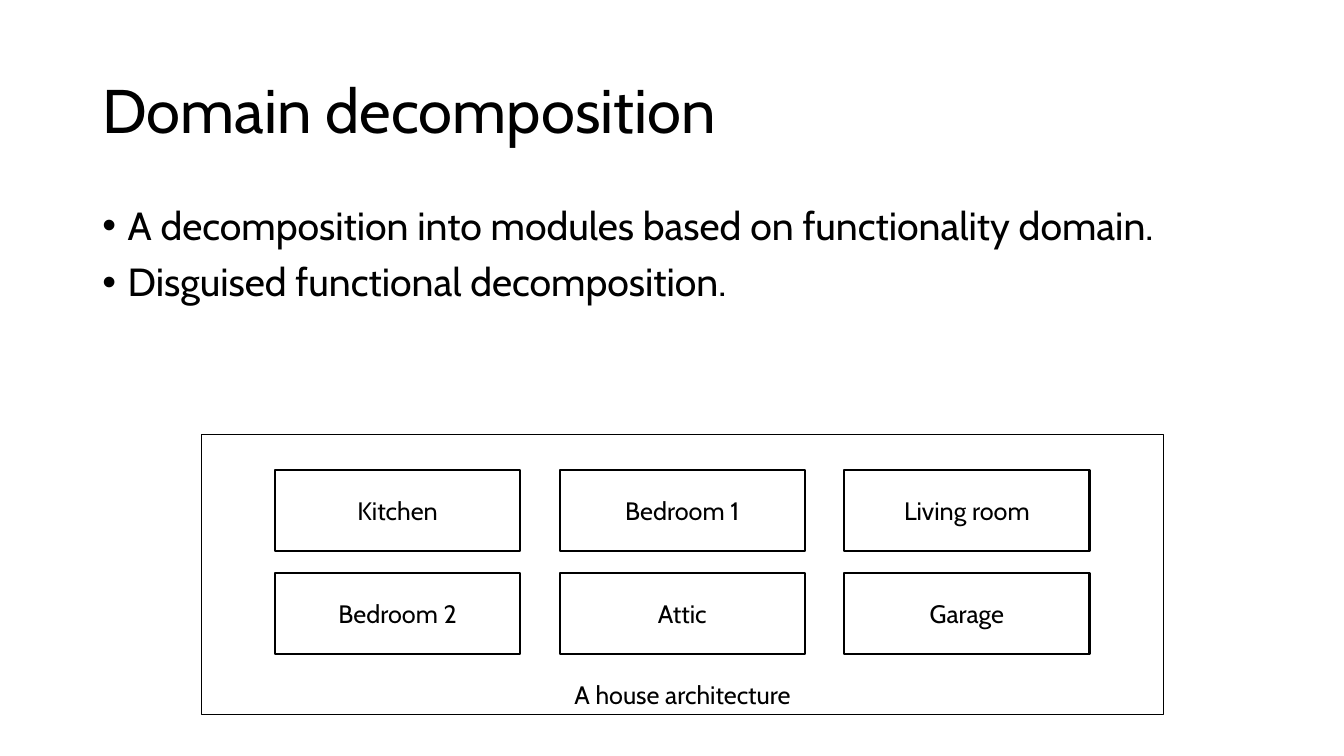
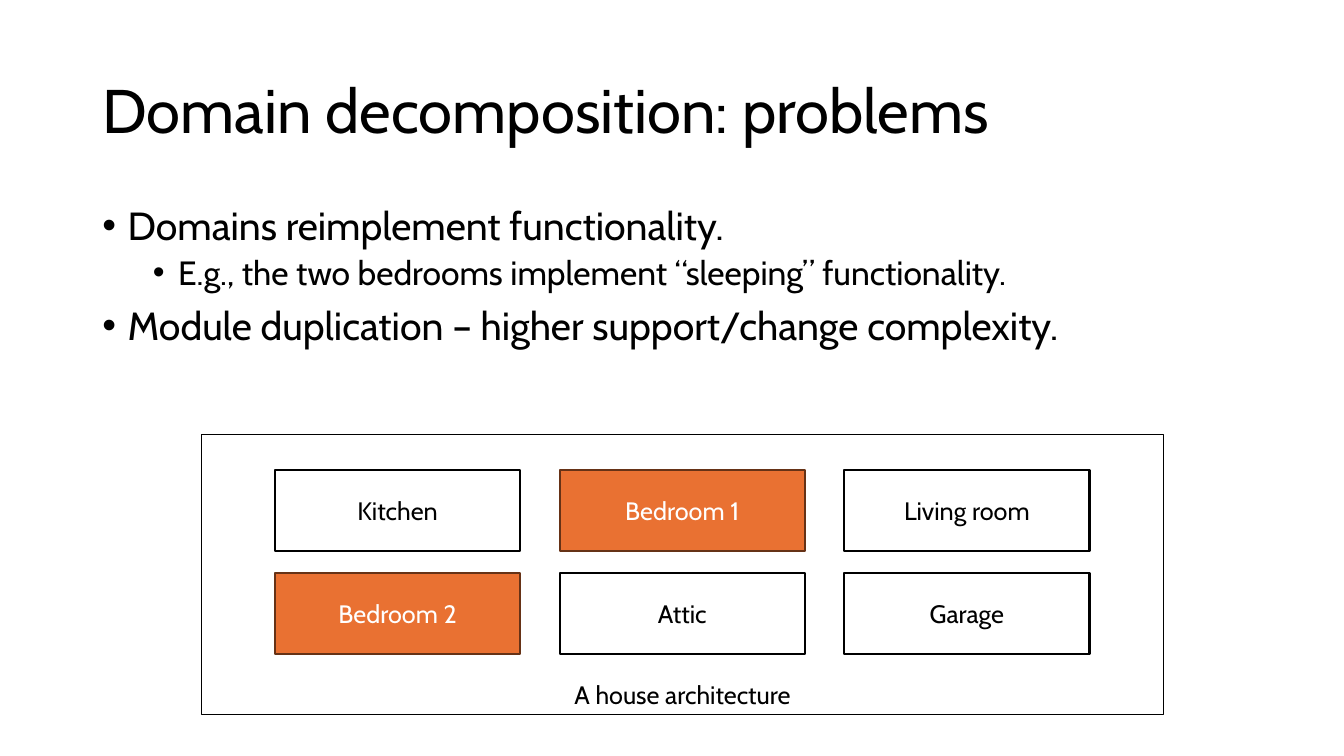
from dataclasses import dataclass

from lxml import etree
from pptx import Presentation
from pptx.dml.color import RGBColor
from pptx.enum import shapes, text
from pptx.oxml import ns
from pptx.util import Pt

FONT = "Cabin"
BLACK, WHITE = "000000", "FFFFFF"
ORANGE, BROWN = "E97132", "663216"


@dataclass(frozen=True)
class Box:
    left: float
    top: float
    width: float
    height: float


@dataclass(frozen=True)
class Look:
    fill: str | None
    line: str
    ink: str
    weight: float = 1.5


@dataclass(frozen=True)
class Level:
    size: float
    indent: float
    before: float


@dataclass(frozen=True)
class Page:
    title: str
    items: tuple[tuple[int, str], ...]
    marked: tuple[str, ...] = ()


# Shared layout, in points
TITLE = Box(66, 28.75, 828, 104.4)
BODY = Box(66, 144, 828, 342.6)
HOUSE = Box(144, 310.3, 687, 200.2)
ROOM = Box(196.4, 335.5, 175.2, 57.8)
STEP_X, STEP_Y = 203.3, 74
HANG = 18

PLAIN = Look(WHITE, BLACK, BLACK)
MARKED = Look(ORANGE, BROWN, WHITE)
FRAME = Look(None, BLACK, BLACK, 0.75)
LEVELS = (Level(28, 18, 10), Level(24, 54, 5))

ROOMS = (
    ("Kitchen", "Bedroom 1", "Living room"),
    ("Bedroom 2", "Attic", "Garage"),
)
PAGES = (
    Page(
        "Domain decomposition",
        (
            (0, "A decomposition into modules based on functionality domain."),
            (0, "Disguised functional decomposition."),
        ),
    ),
    Page(
        "Domain decomposition: problems",
        (
            (0, "Domains reimplement functionality."),
            (1, "E.g., the two bedrooms implement “sleeping” functionality."),
            (0, "Module duplication – higher support/change complexity."),
        ),
        ("Bedroom 1", "Bedroom 2"),
    ),
)


def paint(target, color: str) -> None:
    """Set a fill or a font to a hex colour."""
    if hasattr(target, "solid"):
        target.solid()
        target.fore_color.rgb = RGBColor.from_string(color)
    else:
        target.color.rgb = RGBColor.from_string(color)


def style(para, size: float, color: str) -> None:
    for run in para.runs:
        run.font.name = FONT
        run.font.size = Pt(size)
        paint(run.font, color)


def place(shape, box: Box) -> None:
    shape.left, shape.top = Pt(box.left), Pt(box.top)
    shape.width, shape.height = Pt(box.width), Pt(box.height)


def add_title(slide, words: str) -> None:
    title = slide.shapes.title
    place(title, TITLE)
    frame = title.text_frame
    frame.text = words
    frame.auto_size = text.MSO_AUTO_SIZE.NONE
    frame.vertical_anchor = text.MSO_ANCHOR.MIDDLE
    para = frame.paragraphs[0]
    para.alignment = text.PP_ALIGN.LEFT
    para.line_spacing = 0.9
    style(para, 44, BLACK)


def add_list(slide, items: tuple[tuple[int, str], ...]) -> None:
    body = slide.placeholders[1]
    place(body, BODY)
    frame = body.text_frame
    frame.text = "\n".join(words for _, words in items)
    frame.auto_size = text.MSO_AUTO_SIZE.NONE
    for para, (depth, _) in zip(frame.paragraphs, items):
        level = LEVELS[depth]
        para.level = depth
        para.line_spacing = 0.9
        para.space_before = Pt(level.before)
        style(para, level.size, BLACK)
        # Hanging bullet
        props = para._p.get_or_add_pPr()
        props.set("marL", str(Pt(level.indent)))
        props.set("indent", str(-Pt(HANG)))
        etree.SubElement(props, ns.qn("a:buFont")).set("typeface", "Arial")
        etree.SubElement(props, ns.qn("a:buChar")).set("char", "•")


def add_box(slide, box: Box, words: str, look: Look,
            anchor=text.MSO_ANCHOR.MIDDLE) -> None:
    shape = slide.shapes.add_shape(
        shapes.MSO_SHAPE.RECTANGLE, Pt(box.left), Pt(box.top),
        Pt(box.width), Pt(box.height))
    shape.shadow.inherit = False
    if look.fill:
        paint(shape.fill, look.fill)
    else:
        shape.fill.background()
    paint(shape.line.fill, look.line)
    shape.line.width = Pt(look.weight)
    frame = shape.text_frame
    frame.text = words
    frame.vertical_anchor = anchor
    para = frame.paragraphs[0]
    para.alignment = text.PP_ALIGN.CENTER
    style(para, 18, look.ink)


def add_house(slide, marked: tuple[str, ...]) -> None:
    # Grid of rooms
    for row, names in enumerate(ROOMS):
        for col, name in enumerate(names):
            box = Box(ROOM.left + col * STEP_X, ROOM.top + row * STEP_Y,
                      ROOM.width, ROOM.height)
            add_box(slide, box, name, MARKED if name in marked else PLAIN)
    # Outer frame with caption
    add_box(slide, HOUSE, "A house architecture", FRAME, text.MSO_ANCHOR.BOTTOM)


def main() -> None:
    deck = Presentation()
    deck.slide_width, deck.slide_height = Pt(960), Pt(540)
    for page in PAGES:
        slide = deck.slides.add_slide(deck.slide_layouts[1])
        add_title(slide, page.title)
        add_list(slide, page.items)
        add_house(slide, page.marked)
    deck.save("out.pptx")


if __name__ == "__main__":
    main()
